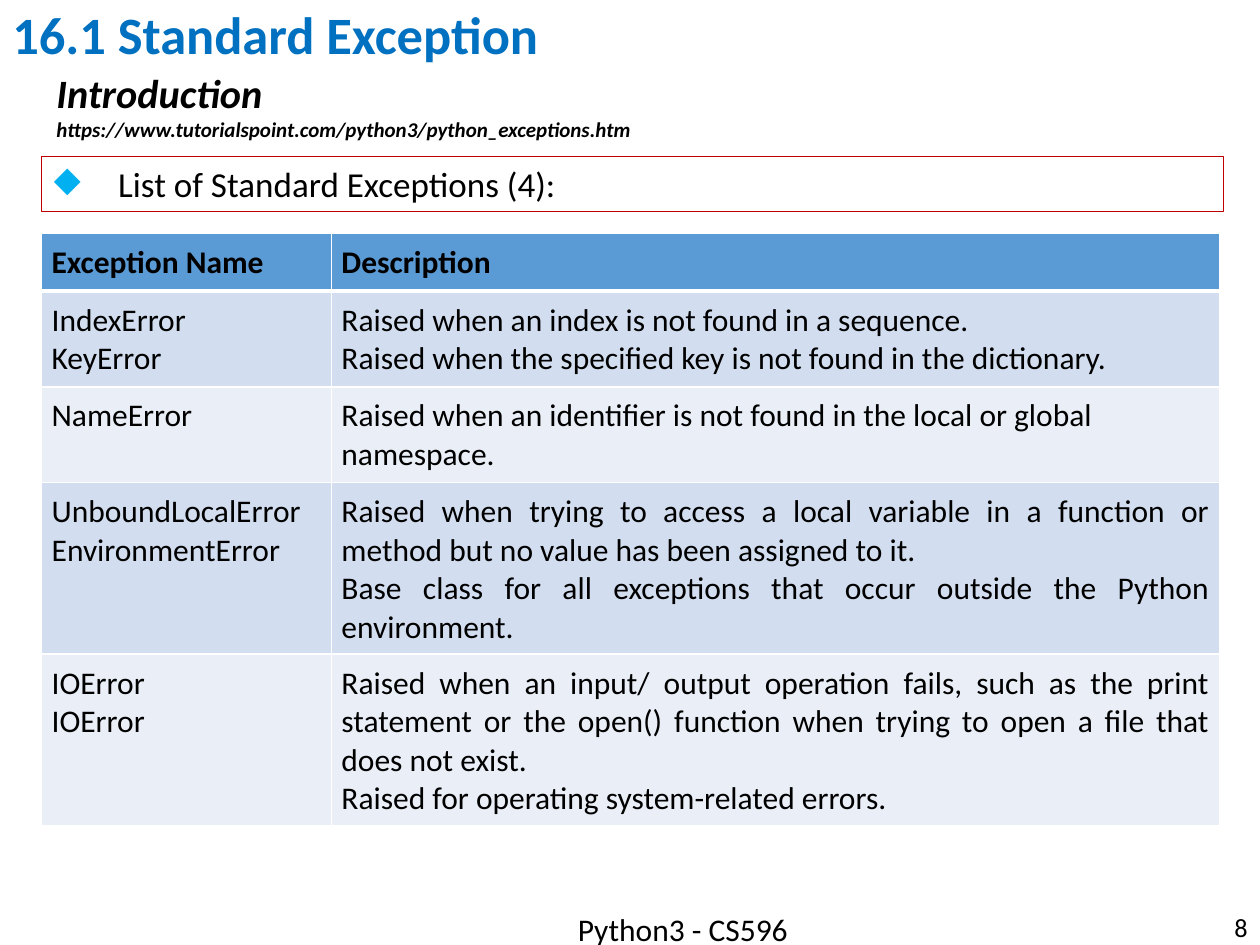
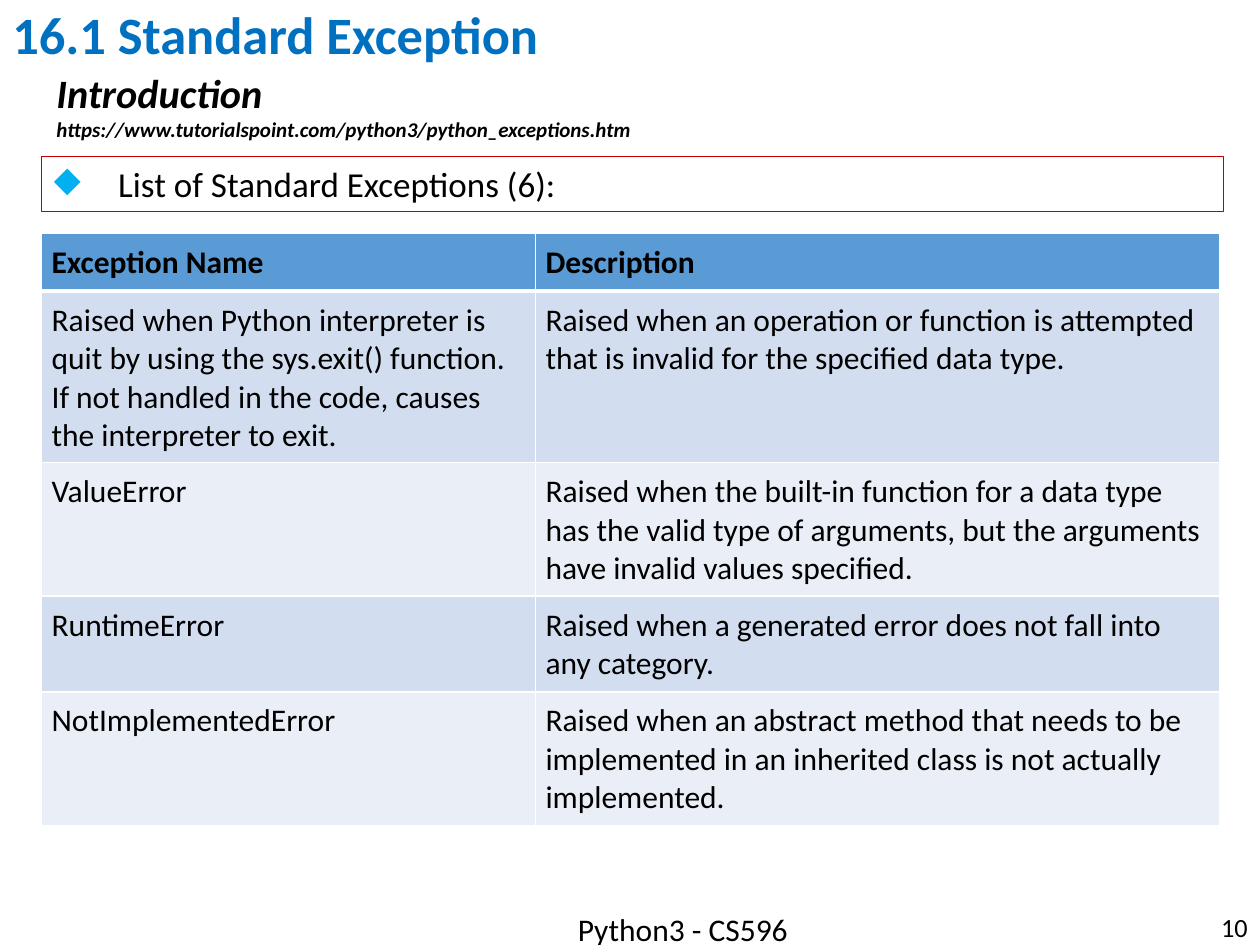
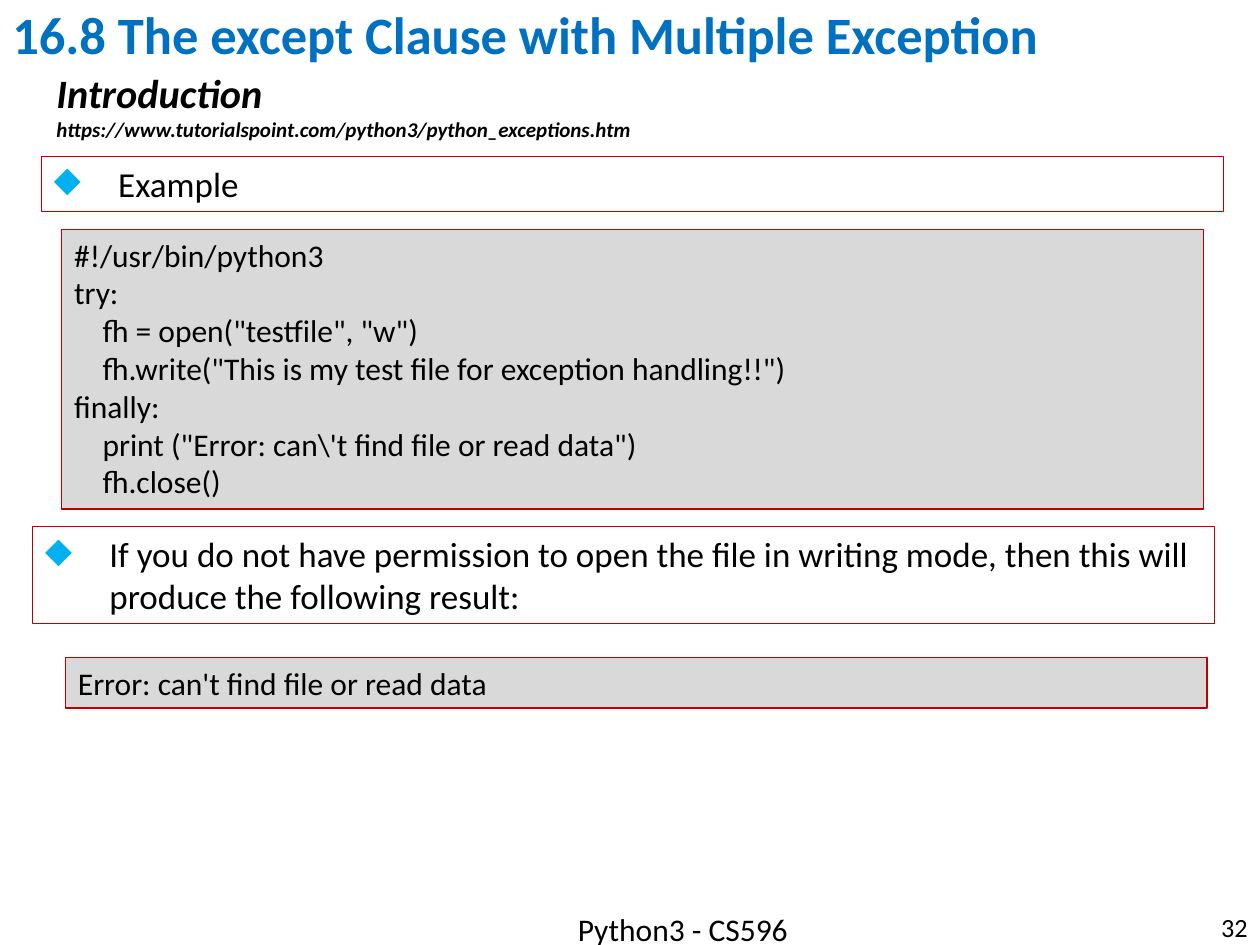
from dataclasses import dataclass
from lxml import etree
from pptx import Presentation
from pptx.dml.color import RGBColor
from pptx.enum.shapes import MSO_SHAPE
from pptx.enum.text import MSO_ANCHOR, MSO_AUTO_SIZE, PP_ALIGN
from pptx.oxml.ns import qn
from pptx.util import Inches, Pt

RECT = MSO_SHAPE.RECTANGLE
TOP, MIDDLE = MSO_ANCHOR.TOP, MSO_ANCHOR.MIDDLE
LEFT, CENTER, RIGHT = PP_ALIGN.LEFT, PP_ALIGN.CENTER, PP_ALIGN.RIGHT
JUSTIFY = PP_ALIGN.JUSTIFY
GROW = MSO_AUTO_SIZE.SHAPE_TO_FIT_TEXT

FONT = "Calibri"
COLORS = {
    "title": "0070C0",
    "text": "000000",
    "bullet": "00B0F0",
    "border": "C00000",
    "code": "D9D9D9",
    "head": "5B9BD5",
    "odd": "D2DEEF",
    "even": "EAEFF7",
    "rule": "FFFFFF",
}
LINK = "https://www.tutorialspoint.com/python3/python_exceptions.htm"
INDENT = Inches(0.51)
INSET = Inches(0.08)


@dataclass
class Area:
    left: float
    top: float
    width: float
    height: float

    def box(self) -> tuple:
        return tuple(map(Inches, (self.left, self.top, self.width, self.height)))


@dataclass
class Style:
    size: float
    color: str = "text"
    bold: bool = False
    italic: bool = False


@dataclass
class Panel:
    area: Area
    lines: list[str]
    size: float = 20
    fill: str | None = None
    bullet: bool = True


@dataclass
class Grid:
    widths: list[float]
    rows: list[tuple[str, str]]


@dataclass
class Page:
    number: str
    title: str
    panels: list[Panel]
    grid: Grid | None = None


TITLE = Style(30, "title", bold=True)
INTRO = Style(23, bold=True, italic=True)
SOURCE = Style(12, bold=True, italic=True)
FOOTER = Style(18)
NUMBER = Style(15)
HEAD = Style(18, bold=True)
BODY = Style(18)

TITLE_AREA = Area(0, -0.03, 10, 0.66)
INTRO_AREA = Area(0.35, 0.49, 6.37, 0.69)
FOOTER_AREA = Area(3.08, 7.17, 4.68, 0.4)
NUMBER_AREA = Area(7.75, 7.16, 2.25, 0.4)
TOPIC_AREA = Area(0.33, 1.24, 9.38, 0.44)
GRID_AREA = Area(0.33, 1.85, 9.35, 4.73)
ROW = Inches(0.41)

PAGES = [
    Page(
        "8",
        "16.1 Standard Exception",
        [Panel(TOPIC_AREA, ["List of Standard Exceptions (4):"])],
        Grid([2.3, 7.05], [
            ("Exception Name", "Description"),
            ("IndexError\nKeyError",
             "Raised when an index is not found in a sequence.\n"
             "Raised when the specified key is not found in the dictionary."),
            ("NameError",
             "Raised when an identifier is not found in the local or global namespace."),
            ("UnboundLocalError\nEnvironmentError",
             "Raised when trying to access a local variable in a function or method "
             "but no value has been assigned to it.\n"
             "Base class for all exceptions that occur outside the Python environment."),
            ("IOError\nIOError",
             "Raised when an input/ output operation fails, such as the print statement "
             "or the open() function when trying to open a file that does not exist.\n"
             "Raised for operating system-related errors."),
        ]),
    ),
    Page(
        "10",
        "16.1 Standard Exception",
        [Panel(TOPIC_AREA, ["List of Standard Exceptions (6):"])],
        Grid([3.92, 5.43], [
            ("Exception Name", "Description"),
            ("Raised when Python interpreter is quit by using the sys.exit() function. "
             "If not handled in the code, causes the interpreter to exit.",
             "Raised when an operation or function is attempted that is invalid "
             "for the specified data type."),
            ("ValueError",
             "Raised when the built-in function for a data type has the valid type "
             "of arguments, but the arguments have invalid values specified."),
            ("RuntimeError",
             "Raised when a generated error does not fall into any category."),
            ("NotImplementedError",
             "Raised when an abstract method that needs to be implemented in an "
             "inherited class is not actually implemented."),
        ]),
    ),
    Page(
        "32",
        "16.8 The except Clause with Multiple Exception",
        [
            Panel(TOPIC_AREA, ["Example"]),
            Panel(Area(0.49, 1.82, 9.06, 2.22), [
                "#!/usr/bin/python3",
                "try:",
                '    fh = open("testfile", "w")',
                '    fh.write("This is my test file for exception handling!!")',
                "finally:",
                '    print ("Error: can\\\'t find file or read data")',
                "    fh.close()",
            ], 18, "code", False),
            Panel(Area(0.26, 4.18, 9.38, 0.77), [
                "If you do not have permission to open the file in writing mode, "
                "then this will produce the following result:",
            ]),
            Panel(Area(0.52, 5.22, 9.06, 0.4),
                  ["Error: can't find file or read data"], 18, "code", False),
        ],
    ),
]


def tint(name: str) -> RGBColor:
    return RGBColor.from_string(COLORS[name])


def add_bullet(para) -> None:
    props = para._p.get_or_add_pPr()
    props.set("marL", str(INDENT))
    props.set("indent", str(-INDENT))
    color = etree.SubElement(props, qn("a:buClr"))
    etree.SubElement(color, qn("a:srgbClr"), val=COLORS["bullet"])
    etree.SubElement(props, qn("a:buChar"), char="◆")


def write(frame, lines: list[tuple[str, Style]], align=LEFT, bullet: bool = False) -> None:
    frame.word_wrap = True
    for index, (text, style) in enumerate(lines):
        para = frame.paragraphs[0] if index == 0 else frame.add_paragraph()
        para.alignment = align
        if bullet:
            add_bullet(para)
        run = para.add_run()
        run.text = text
        font = run.font
        font.name, font.size = FONT, Pt(style.size)
        font.bold, font.italic = style.bold, style.italic
        font.color.rgb = tint(style.color)


def add_label(slide, area: Area, lines: list[tuple[str, Style]], align=LEFT,
              anchor=TOP, grow: bool = False):
    frame = slide.shapes.add_textbox(*area.box()).text_frame
    write(frame, lines, align)
    frame.vertical_anchor = anchor
    if grow:
        frame.auto_size = GROW
    return frame


def add_panel(slide, panel: Panel) -> None:
    shape = slide.shapes.add_shape(RECT, *panel.area.box())
    shape.shadow.inherit = False
    if panel.fill:
        shape.fill.solid()
        shape.fill.fore_color.rgb = tint(panel.fill)
    else:
        shape.fill.background()
    shape.line.color.rgb = tint("border")
    shape.line.width = Pt(0.75)
    frame = shape.text_frame
    style = Style(panel.size)
    write(frame, [(line, style) for line in panel.lines], bullet=panel.bullet)
    frame.vertical_anchor = TOP
    frame.auto_size = GROW


def add_edges(cell, top: float, bottom: float) -> None:
    props = cell._tc.get_or_add_tcPr()
    edges = {"a:lnL": 1, "a:lnR": 1, "a:lnT": top, "a:lnB": bottom}
    for index, (tag, width) in enumerate(edges.items()):
        line = etree.Element(qn(tag), w=str(Pt(width)))
        fill = etree.SubElement(line, qn("a:solidFill"))
        etree.SubElement(fill, qn("a:srgbClr"), val=COLORS["rule"])
        props.insert(index, line)


def add_grid(slide, grid: Grid) -> None:
    holder = slide.shapes.add_table(len(grid.rows), len(grid.widths), *GRID_AREA.box())
    table = holder.table
    table.horz_banding = False
    for column, width in zip(table.columns, grid.widths):
        column.width = Inches(width)
    for r, texts in enumerate(grid.rows):
        table.rows[r].height = ROW
        shade = "head" if r == 0 else "odd" if r % 2 else "even"
        style = HEAD if r == 0 else BODY
        for c, text in enumerate(texts):
            cell = table.cell(r, c)
            cell.margin_left = cell.margin_right = INSET
            cell.margin_top = cell.margin_bottom = INSET
            cell.fill.solid()
            cell.fill.fore_color.rgb = tint(shade)
            add_edges(cell, 3 if r == 1 else 1, 3 if r == 0 else 1)
            lines = [(line, style) for line in text.split("\n")]
            write(cell.text_frame, lines, JUSTIFY if len(lines) > 1 else LEFT)
    holder.height = Inches(GRID_AREA.height)


def add_page(deck, page: Page) -> None:
    slide = deck.slides.add_slide(deck.slide_layouts[6])
    add_label(slide, NUMBER_AREA, [(page.number, NUMBER)], RIGHT, MIDDLE)
    title = add_label(slide, TITLE_AREA, [(page.title, TITLE)], anchor=MIDDLE)
    title.paragraphs[0].line_spacing = 0.9
    add_label(slide, INTRO_AREA, [("Introduction", INTRO), (LINK, SOURCE)], grow=True)
    add_label(slide, FOOTER_AREA, [("Python3 - CS596", FOOTER)], CENTER, grow=True)
    for panel in page.panels:
        add_panel(slide, panel)
    if page.grid:
        add_grid(slide, page.grid)


def main() -> None:
    deck = Presentation()
    deck.slide_width, deck.slide_height = Inches(10), Inches(7.5)
    for page in PAGES:
        add_page(deck, page)
    deck.save("out.pptx")


if __name__ == "__main__":
    main()
